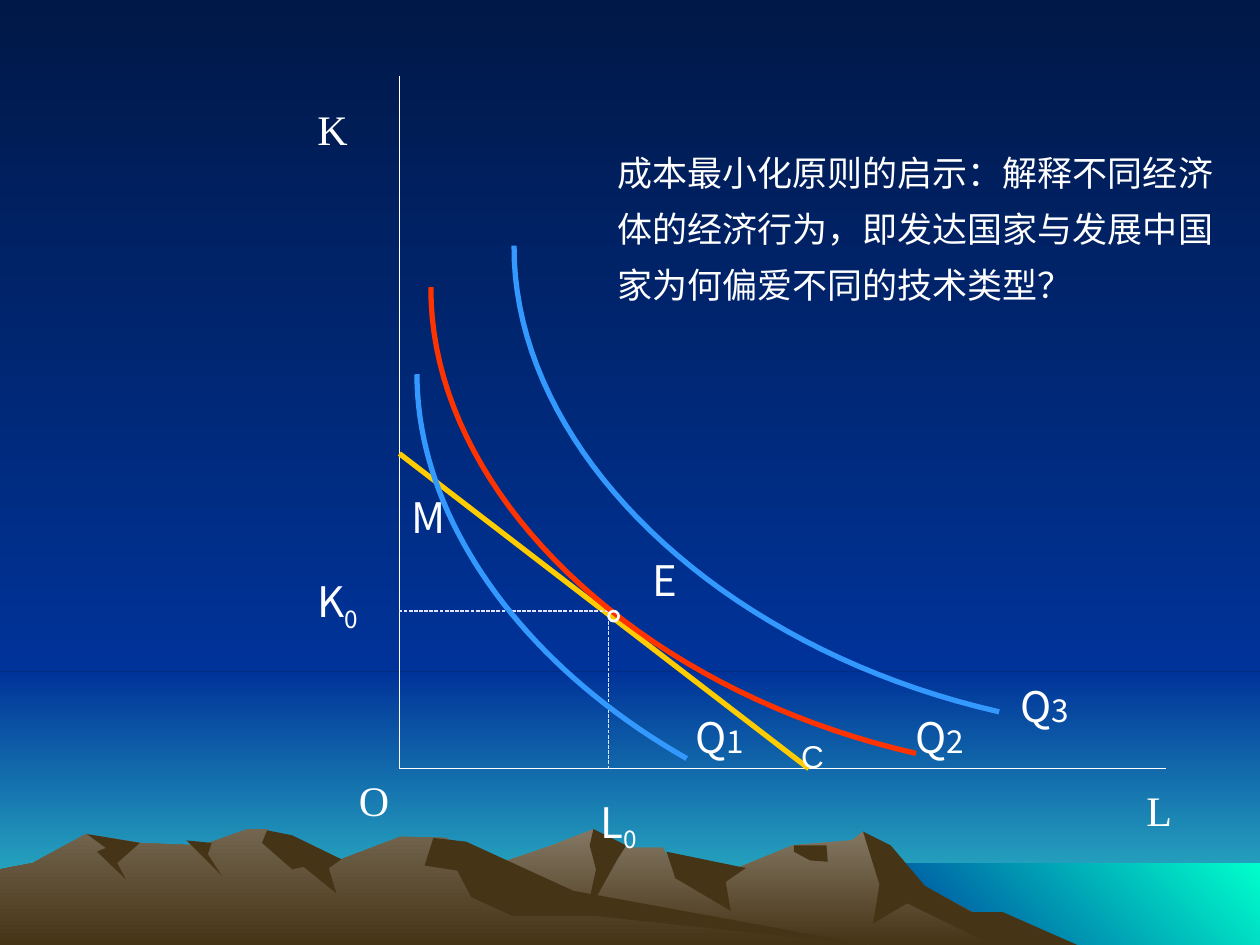
from typing import NamedTuple

from lxml.etree import SubElement
from pptx import Presentation
from pptx.dml.color import RGBColor
from pptx.enum.dml import MSO_LINE_DASH_STYLE as Dash
from pptx.enum.shapes import MSO_CONNECTOR as Connector, MSO_SHAPE as Shape
from pptx.enum.text import MSO_AUTO_SIZE as AutoSize, PP_ALIGN as Align
from pptx.oxml.ns import qn
from pptx.util import Inches, Pt

WIDTH, HEIGHT, HORIZON, SHORE = 10, 7.5, 5.33, 6.85
WHITE, ROCK, NAVY, BLUE = "FFFFFF", "463416", "001847", "003399"
ISOQUANT, TANGENT, BUDGET, GUIDE = "3399FF", "FF3300", "FFCC00", "E3E3FF"
SERIF, SANS, ARIAL = "Times New Roman", "Noto Sans CJK SC", "Arial"

Point = tuple[float, float]


class Band(NamedTuple):
    left: float
    top: float
    bottom: float
    colors: tuple[str, str]
    angle: float = 270


class Ridge(NamedTuple):
    colors: tuple[str, ...]
    points: list[Point]


class Curve(NamedTuple):
    color: str
    controls: list[Point]


class Line(NamedTuple):
    start: Point
    end: Point
    color: str
    width: float
    dash: Dash | None = None


class Label(NamedTuple):
    left: float
    top: float
    width: float
    text: str
    font: str = SANS
    size: float = 24
    suffix: str = ""
    suffix_size: float | None = None  # None makes the suffix a subscript
    align: Align = Align.LEFT


def rgb(color: str) -> RGBColor:
    return RGBColor.from_string(color)


def paint(fill, colors: tuple[str, ...], angle: float = 270) -> None:
    if len(colors) == 1:
        fill.solid()
        fill.fore_color.rgb = rgb(colors[0])
        return
    fill.gradient()
    fill.gradient_angle = angle
    for stop, color, position in zip(fill.gradient_stops, colors, (0, 1)):
        stop.color.rgb = rgb(color)
        stop.position = position


def stroke(line, color: str, width: float) -> None:
    line.color.rgb = rgb(color)
    line.width = Pt(width)


def add_outline(s, points: list[Point], close: bool):
    (x, y), *rest = points
    builder = s.shapes.build_freeform(Inches(x), Inches(y))
    builder.add_line_segments([(Inches(a), Inches(b)) for a, b in rest], close=close)
    sp = builder.convert_to_shape()
    sp.shadow.inherit = False
    return sp


def add_band(s, band: Band) -> None:
    sp = s.shapes.add_shape(Shape.RECTANGLE, Inches(band.left), Inches(band.top),
                            Inches(WIDTH - band.left), Inches(band.bottom - band.top))
    sp.shadow.inherit = False
    sp.line.fill.background()
    paint(sp.fill, band.colors, band.angle)


def add_ridge(s, ridge: Ridge) -> None:
    sp = add_outline(s, ridge.points, close=True)
    sp.line.fill.background()
    paint(sp.fill, ridge.colors)


def add_curve(s, curve: Curve, steps: int = 40) -> None:
    """Trace a cubic Bezier curve as a fine open outline."""
    points = []
    for i in range(steps + 1):
        t = i / steps
        weights = ((1 - t) ** 3, 3 * t * (1 - t) ** 2, 3 * t * t * (1 - t), t ** 3)
        points.append(tuple(sum(w * p[axis] for w, p in zip(weights, curve.controls))
                            for axis in (0, 1)))
    sp = add_outline(s, points, close=False)
    sp.fill.background()
    stroke(sp.line, curve.color, 3)


def add_line(s, line: Line) -> None:
    ends = [Inches(v) for v in (*line.start, *line.end)]
    cxn = s.shapes.add_connector(Connector.STRAIGHT, *ends)
    stroke(cxn.line, line.color, line.width)
    if line.dash:
        cxn.line.dash_style = line.dash
    SubElement(cxn._element.spPr, qn("a:effectLst"))


def add_text_box(s, left: float, top: float, width: float, height: float, wrap: bool):
    tf = s.shapes.add_textbox(Inches(left), Inches(top), Inches(width),
                              Inches(height)).text_frame
    tf.word_wrap = wrap
    tf.auto_size = AutoSize.SHAPE_TO_FIT_TEXT
    return tf


def style(font, name: str, size: float) -> None:
    font.name, font.size = name, Pt(size)
    font.color.rgb = rgb(WHITE)


def add_label(s, label: Label) -> None:
    height = 0.5 if label.size == 24 else 0.4
    p = add_text_box(s, label.left, label.top, label.width, height, True).paragraphs[0]
    p.alignment = label.align
    style(p.font, label.font, label.size)
    p.add_run().text = label.text
    if label.suffix:
        r = p.add_run()
        r.text = label.suffix
        if label.suffix_size:
            r.font.size = Pt(label.suffix_size)
        else:
            r.font._element.set("baseline", "-25000")


BANDS = [
    Band(0, HORIZON, HEIGHT, (BLUE, "33CCCC")),
    Band(0, 0, HORIZON, (NAVY, BLUE)),
    Band(6.83, SHORE, HEIGHT, (BLUE, "00FFCC"), 45),
]
RIDGES = [
    # Right-hand range and its shaded faces
    Ridge(("847864", ROCK), [
        (8.2, HEIGHT), (7.23, 6.98), (6.85, 6.6), (6.76, 6.67), (6.29, 6.71), (5.66, 6.97),
        (5.36, 6.9), (5.26, 6.73), (4.86, 6.73), (4.71, 6.58), (4.38, 6.71), (3.27, 7.09),
        (2.58, HEIGHT)]),
    Ridge((ROCK,), [
        (8.55, HEIGHT), (7.96, 7.24), (7.71, 7.24), (7.34, 7.03), (7.07, 6.71), (6.85, 6.6),
        (6.98, 7.02), (6.93, 7.33), (7.2, 7.17), (7.88, HEIGHT)]),
    Ridge((ROCK,), [
        (4.71, 6.58), (4.68, 6.71), (4.73, 6.9), (4.65, 7.27), (4.9, 6.82), (4.97, 6.71)]),
    Ridge((ROCK,), [(5.29, 6.76), (5.36, 6.97), (5.8, 7.23), (5.76, 7), (5.92, 6.89)]),
    Ridge((ROCK,), [(6.3, 6.71), (6.3, 6.76), (6.43, 6.83), (6.57, 6.84), (6.56, 6.71)]),
    # Left-hand range and its shaded faces
    Ridge(("73654F", ROCK), [
        (6.9, HEIGHT), (4.32, 7.12), (3.54, 6.65), (3.18, 6.64), (2.71, 6.82), (2.36, 6.81),
        (2.12, 6.58), (1.96, 6.58), (1.6, 6.71), (1.11, 6.69), (0.68, 6.62), (0.26, 6.85),
        (0, 6.9), (0, HEIGHT)]),
    Ridge((ROCK,), [
        (2.12, 6.59), (2.08, 6.69), (2.32, 6.9), (2.41, 6.88), (2.67, 7.09), (2.61, 6.89),
        (2.71, 6.82), (2.32, 6.63)]),
    Ridge((ROCK,), [
        (3.7, 6.68), (3.44, 6.65), (3.37, 6.87), (3.63, 6.91), (3.74, 7.12), (4.07, 7.27),
        (4.72, 7.27), (6.9, HEIGHT), (4.55, 7.07)]),
    Ridge((ROCK,), [(1.48, 6.67), (1.68, 6.69), (1.65, 6.78), (1.76, 6.95)]),
    Ridge((ROCK,), [
        (0.69, 6.62), (1.11, 6.69), (0.93, 6.85), (1, 6.98), (0.77, 6.76), (0.84, 6.73)]),
]

ORIGIN = (3.17, 6.1)
X0, Y0 = ORIGIN
POINT_X, POINT_Y, POINT_SIZE = 4.83, 4.85, 0.08
LINES = [
    Line((X0, 0.6), ORIGIN, WHITE, 1),
    Line(ORIGIN, (9.25, Y0), WHITE, 1),
    Line((X0, 3.6), (6.42, Y0), BUDGET, 3),
    Line((POINT_X, POINT_Y), (X0, POINT_Y), GUIDE, 0.75, Dash.SQUARE_DOT),
    Line((POINT_X, POINT_Y + POINT_SIZE), (POINT_X, Y0), GUIDE, 0.75, Dash.SQUARE_DOT),
]
Q1 = [(3.31, 2.97), (3.31, 4.1), (4.12, 5.26), (5.45, 6.02)]
Q2 = [(3.42, 2.28), (3.41, 3.89), (5.03, 5.47), (7.27, 5.98)]
Q3 = [(x + 0.66, y - 0.33) for x, y in Q2]
CURVES = [Curve(TANGENT, Q2), Curve(ISOQUANT, Q3), Curve(ISOQUANT, Q1)]
LABELS = [
    Label(2.42, 0.77, 0.5, "K", SERIF),
    Label(9, 6.18, 1, "L", SERIF),
    Label(2.75, Y0, 0.83, "O", SERIF),
    Label(5.08, 4.35, 0.67, "E"),
    Label(X0, 3.85, 0.33, "M"),
    Label(2.42, 4.52, 0.58, "K", suffix="0"),
    Label(4.67, 6.27, 0.58, "L", suffix="0"),
    *(Label(left, top, 0.7, "Q", suffix=str(n), suffix_size=18)
      for n, (left, top) in enumerate([(5.42, 5.6), (7.17, 5.6), (8, 5.35)], 1)),
    Label(6.26, 5.8, 0.32, "C", ARIAL, 18, align=Align.CENTER),
]
QUESTION = [
    "成本最小化原则的启示：解释不同经济",
    "体的经济行为，即发达国家与发展中国",
    "家为何偏爱不同的技术类型？",
]


def main() -> None:
    prs = Presentation()
    prs.slide_width, prs.slide_height = Inches(WIDTH), Inches(HEIGHT)
    s = prs.slides.add_slide(prs.slide_layouts[6])

    # Landscape
    paint(s.background.fill, (NAVY, BLUE))
    for band in BANDS:
        add_band(s, band)
    for ridge in RIDGES:
        add_ridge(s, ridge)

    # Isoquant diagram
    for line in LINES:
        add_line(s, line)
    for curve in CURVES:
        add_curve(s, curve)
    point = s.shapes.add_shape(Shape.OVAL, Inches(POINT_X), Inches(POINT_Y),
                               Inches(POINT_SIZE), Inches(POINT_SIZE))
    point.shadow.inherit = False
    point.fill.background()
    stroke(point.line, WHITE, 1.5)
    for label in LABELS:
        add_label(s, label)

    # Question beside the diagram
    tf = add_text_box(s, 4.8, 1.15, 4.93, 1.45, False)
    for i, text in enumerate(QUESTION):
        p = tf.add_paragraph() if i else tf.paragraphs[0]
        p.text = text
        style(p.font, ARIAL, 20)
        if i:
            p.space_before = Pt(8)

    prs.save("out.pptx")


if __name__ == "__main__":
    main()
